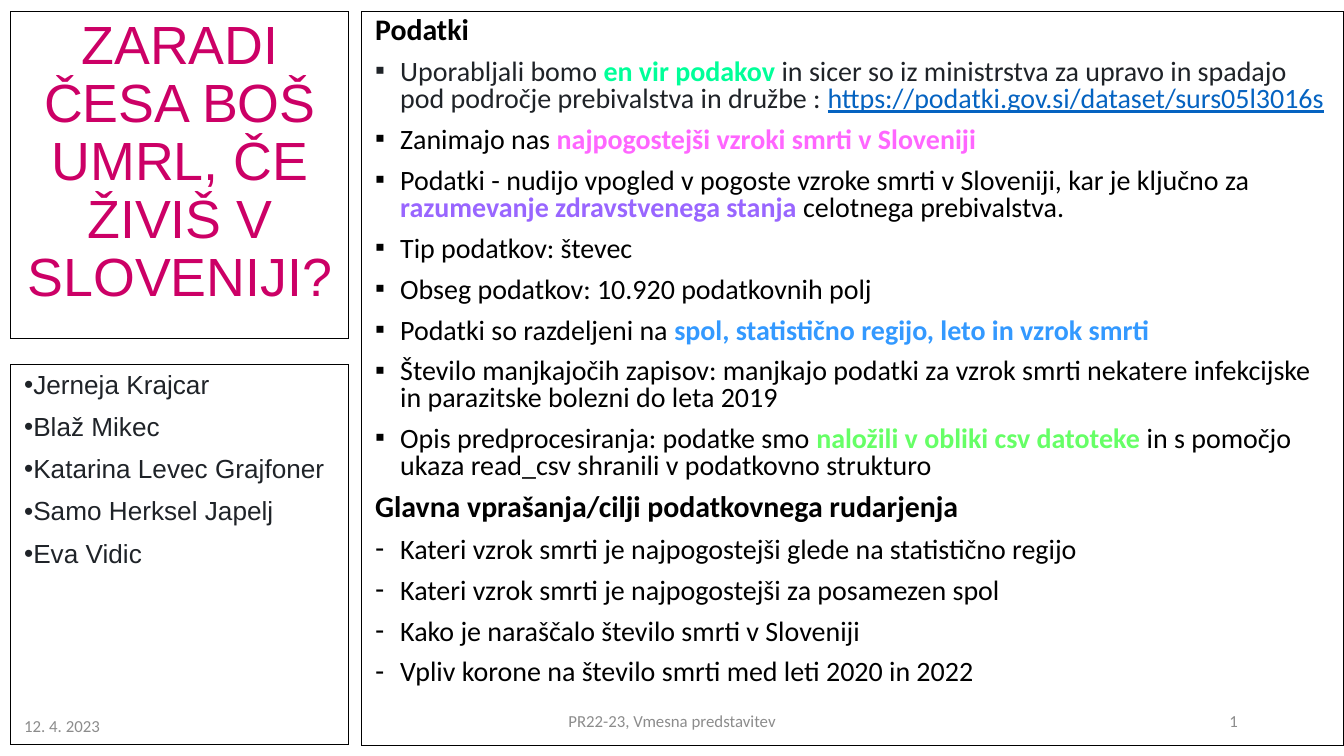
from lxml.etree import SubElement
from pptx import Presentation
from pptx.dml.color import RGBColor
from pptx.enum.text import MSO_ANCHOR, PP_ALIGN
from pptx.oxml.ns import qn
from pptx.util import Emu, Pt

PX = 914400 / 134.4
BLACK = RGBColor(0, 0, 0)
INK = RGBColor(0x1F, 0x23, 0x28)
GRAY = RGBColor(0x8C, 0x8C, 0x8C)
ROSE = RGBColor(0xCC, 0x00, 0x66)
MINT = RGBColor(0x00, 0xFF, 0x99)
PINK = RGBColor(0xFF, 0x66, 0xFF)
VIOLET = RGBColor(0x99, 0x66, 0xFF)
BLUE = RGBColor(0x33, 0x99, 0xFF)
GREEN = RGBColor(0x66, 0xFF, 0x66)
LINK = RGBColor(0x05, 0x63, 0xC1)

deck = Presentation()
deck.slide_width = Emu(round(1344 * PX))
deck.slide_height = Emu(round(756 * PX))
slide = deck.slides.add_slide(deck.slide_layouts[6])


def add_box(left, top, width, height, border=None):
    sides = [Emu(round(n * PX)) for n in (left, top, width, height)]
    box = slide.shapes.add_textbox(*sides)
    if border is not None:
        box.line.color.rgb = border
    box.text_frame.word_wrap = True
    return box.text_frame


def add_line(frame, first, mark, indent, spacing, size, font):
    line = frame.paragraphs[0] if first else frame.add_paragraph()
    line.line_spacing = spacing
    line.space_before = Pt(7.5)
    props = line._p.get_or_add_pPr()
    if mark:
        props.set("marL", str(round(indent * PX)))
        props.set("indent", str(round(-indent * PX)))
        SubElement(props, qn("a:buFont"), typeface="Arial")
        SubElement(props, qn("a:buChar"), char=mark)
    line.font.size = Pt(size)
    line.font.name = font
    return line


title = add_box(11, 11, 338, 328, BLACK).paragraphs[0]
title.text = "ZARADI ČESA BOŠ UMRL, ČE ŽIVIŠ V SLOVENIJI?"
title.alignment = PP_ALIGN.CENTER
title.line_spacing = 0.9
title.font.size = Pt(28.8)
title.font.name = "Arial"
title.font.color.rgb = ROSE

body = [
    ("", [("Podatki", BLACK)]),
    ("▪", [("Uporabljali bomo ", INK), ("en vir podakov ", MINT),
           ("in sicer so iz ministrstva za upravo in spadajo pod področje prebivalstva in družbe : ", INK),
           ("https://podatki.gov.si/dataset/surs05l3016s", LINK)]),
    ("▪", [("Zanimajo nas ", BLACK), ("najpogostejši vzroki smrti v Sloveniji", PINK)]),
    ("▪", [("Podatki - nudijo vpogled v pogoste vzroke smrti v Sloveniji, kar je ključno za ", BLACK),
           ("razumevanje zdravstvenega stanja ", VIOLET), ("celotnega prebivalstva.", BLACK)]),
    ("▪", [("Tip podatkov: števec", BLACK)]),
    ("▪", [("Obseg podatkov: 10.920 podatkovnih polj", BLACK)]),
    ("▪", [("Podatki so razdeljeni na ", BLACK),
           ("spol, statistično regijo, leto in vzrok smrti", BLUE)]),
    ("▪", [("Število manjkajočih zapisov: manjkajo podatki za vzrok smrti nekatere "
            "infekcijske in parazitske bolezni do leta 2019", BLACK)]),
    ("▪", [("Opis predprocesiranja: podatke smo ", BLACK),
           ("naložili v obliki csv datoteke ", GREEN),
           ("in s pomočjo ukaza read_csv shranili v podatkovno strukturo", BLACK)]),
    ("", [("Glavna vprašanja/cilji podatkovnega rudarjenja", BLACK)]),
    ("-", [("Kateri vzrok smrti je najpogostejši glede na statistično regijo", BLACK)]),
    ("-", [("Kateri vzrok smrti je najpogostejši za posamezen spol", BLACK)]),
    ("-", [("Kako je naraščalo število smrti v Sloveniji", BLACK)]),
    ("-", [("Vpliv korone na število smrti med leti 2020 in 2022", BLACK)]),
]
frame = add_box(362, 11, 982, 735, BLACK)
for i, (mark, parts) in enumerate(body):
    line = add_line(frame, i == 0, mark, 25, 0.8, 15 if mark else 16, "Calibri")
    for text, color in parts:
        run = line.add_run()
        run.text = text
        run.font.color.rgb = color
        run.font.bold = not mark or color not in (BLACK, INK, LINK)
        if color == LINK:
            run.font.underline = True

names = ["Jerneja Krajcar", "Blaž Mikec", "Katarina Levec Grajfoner", "Samo Herksel Japelj", "Eva Vidic"]
frame = add_box(11, 365, 338, 380, BLACK)
for i, name in enumerate(names):
    line = add_line(frame, i == 0, "•", 0, 0.9, 14, "Arial")
    line.text = name
    line.font.color.rgb = INK

notes = [
    ("12. 4. 2023", 11, 706, 552, PP_ALIGN.LEFT),
    ("PR22-23, Vmesna predstavitev", 445, 701, 454, PP_ALIGN.CENTER),
    ("1", 949, 701, 302, PP_ALIGN.RIGHT),
]
for text, left, top, width, align in notes:
    frame = add_box(left, top, width, 40)
    frame.vertical_anchor = MSO_ANCHOR.MIDDLE
    line = frame.paragraphs[0]
    line.text = text
    line.alignment = align
    line.font.size = Pt(9)
    line.font.name = "Calibri"
    line.font.color.rgb = GRAY

deck.save("out.pptx")
